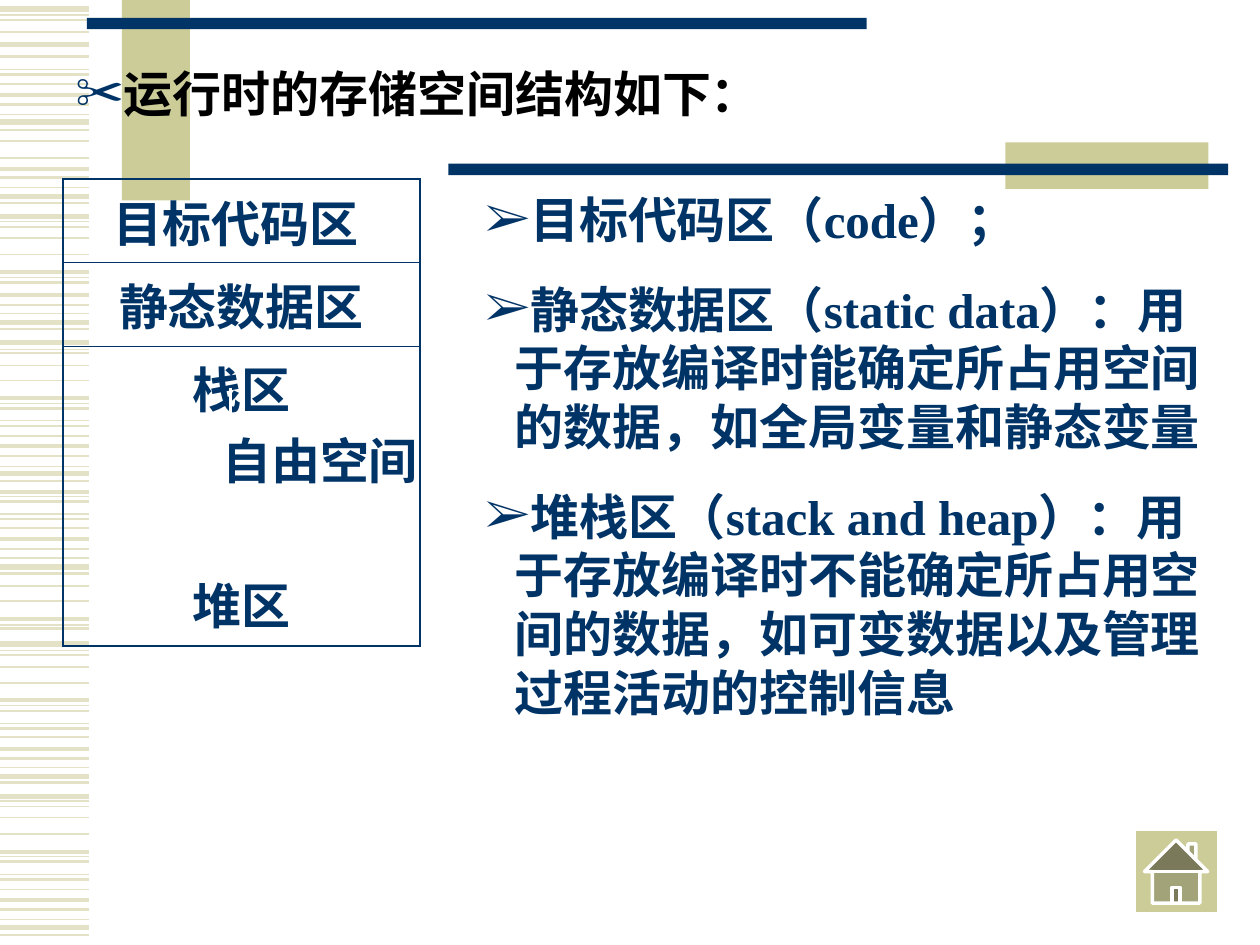
from typing import NamedTuple, Optional

from lxml import etree
from pptx import Presentation
from pptx import util as u
from pptx.dml.color import RGBColor
from pptx.enum import shapes, text
from pptx.oxml import ns

NAVY, KHAKI, STRIPE, WHITE, BLACK = "003366", "CCCC99", "E3E2C7", "FFFFFF", "000000"
CJK, SERIF = "Noto Sans CJK SC", "Times New Roman"
SIZE = 28
LINE_PITCH = 33.6


class Box(NamedTuple):
    left: float
    top: float
    width: float
    height: float

    def lengths(self) -> list:
        return [u.Cm(v) for v in self]


class Bar(NamedTuple):
    box: Box
    color: str


class Row(NamedTuple):
    height: float
    lines: list


# Heights of the side stripes in cm, by line width in points
STRIPES = {
    0.75: [0.3, 1.4, 2.31, 3.78, 4.47, 5.59, 6.32, 7.04, 8.13, 8.48, 9.4, 10.01,
           10.36, 11.25, 12.6, 13.11, 14.22, 14.58, 15.47, 16.15, 17.27, 17.63, 18.54],
    1: [0.41, 0.64, 1.7, 2.84, 3.18, 4.57, 4.8, 5.13, 7.11, 7.37, 7.67, 8.79,
        10.64, 11.81, 12.12, 13.21, 13.44, 13.77, 14.86, 16.26, 16.48, 16.81, 17.93],
    1.5: [1.14, 1.5, 2.11, 2.62, 3.58, 4.09, 5.69, 6.15, 6.63, 8.23, 8.59, 9.19, 9.7,
          10.11, 10.46, 11.07, 11.56, 12.67, 14.33, 14.68, 15.29, 15.77, 17.37, 17.73,
          18.34, 18.85],
    2.25: [1.91, 3.4, 5.49, 5.94, 8.03, 8.99, 9.91, 10.87, 12.47, 14.12, 15.09,
           17.17, 18.14],
    3: [0.18, 0.89, 2.46, 3.96, 4.37, 6.5, 6.91, 9.55, 11.43, 12.98, 15.65, 16.05, 18.69],
}
BARS = [
    Bar(Box(2.46, 0, 1.37, 4.04), KHAKI),
    Bar(Box(1.75, 0.36, 15.72, 0.23), NAVY),
    Bar(Box(20.27, 2.87, 4.09, 0.94), KHAKI),
    Bar(Box(9.04, 3.3, 15.72, 0.23), NAVY),
]
MEMORY = [
    Row(1.68, ["目标代码区 "]),
    Row(1.68, ["静态数据区"]),
    Row(6.05, ["栈区", "堆区"]),
]
AREAS = [
    "目标代码区（code）；",
    "静态数据区（static data）：用于存放编译时能确定所占用空间的数据，如全局变量和静态变量",
    "堆栈区（stack and heap）：用于存放编译时不能确定所占用空间的数据，"
    "如可变数据以及管理过程活动的控制信息",
]


def rgb(color: str) -> RGBColor:
    return RGBColor.from_string(color)


def sub(parent, tag: str, **attrs):
    e = etree.SubElement(parent, ns.qn(tag))
    for name, value in attrs.items():
        e.set(name, str(value))
    return e


def add_bullet(p, char: str, indent: float) -> None:
    pPr = p._p.get_or_add_pPr()
    pPr.set("marL", str(u.Cm(indent)))
    pPr.set("indent", str(-u.Cm(indent)))
    sub(sub(pPr, "a:buClr"), "a:srgbClr", val=NAVY)
    sub(pPr, "a:buFont", typeface=SERIF)
    sub(pPr, "a:buChar", char=char)


def write(tf, lines: list, *, color: str = NAVY, font: str = CJK, gap: float = 0,
          pitch: Optional[float] = None, align=text.PP_ALIGN.LEFT,
          bullet: Optional[str] = None, indent: float = 0) -> None:
    """Fill a text frame, one paragraph a line, with gap points between them."""
    tf.word_wrap = True
    for i, line in enumerate(lines):
        p = tf.paragraphs[0] if i == 0 else tf.add_paragraph()
        p.alignment = align
        if pitch:
            p.line_spacing = u.Pt(pitch)
        p.space_before = u.Pt(gap if i else 0)
        if bullet:
            add_bullet(p, bullet, indent)
        r = p.add_run()
        r.text = line
        r.font.size, r.font.bold, r.font.name = u.Pt(SIZE), True, font
        r.font.color.rgb = rgb(color)
        sub(r._r.get_or_add_rPr(), "a:ea", typeface=CJK)


def add_text(s, box: Box, lines: list, **style) -> None:
    write(s.shapes.add_textbox(*box.lengths()).text_frame, lines, pitch=LINE_PITCH, **style)


def add_line(s, x1: float, y1: float, x2: float, y2: float, color: str,
             width: float, arrow: bool = False) -> None:
    ends = [u.Cm(v) for v in (x1, y1, x2, y2)]
    c = s.shapes.add_connector(shapes.MSO_CONNECTOR.STRAIGHT, *ends)
    c.line.color.rgb, c.line.width = rgb(color), u.Pt(width)
    if arrow:
        sub(c.line._get_or_add_ln(), "a:tailEnd", type="triangle")
    sub(c._element.spPr, "a:effectLst")


def add_shape(s, kind, box: Box, fill: str, line: Optional[str] = None) -> None:
    sp = s.shapes.add_shape(kind, *box.lengths())
    sp.shadow.inherit = False
    sp.fill.solid()
    sp.fill.fore_color.rgb = rgb(fill)
    if line:
        sp.line.color.rgb, sp.line.width = rgb(line), u.Pt(2)
    else:
        sp.line.fill.background()


def set_borders(cell, **widths: float) -> None:
    """Draw the cell's sides; must come before its fill is set."""
    tcPr = cell._tc.get_or_add_tcPr()
    for side, width in widths.items():
        ln = sub(tcPr, f"a:ln{side}", w=u.Pt(width))
        sub(sub(ln, "a:solidFill"), "a:srgbClr", val=NAVY)


def add_memory_table(s, box: Box, rows: list) -> None:
    table = s.shapes.add_table(len(rows), 1, *box.lengths()).table
    table.first_row = table.horz_banding = False
    outer, inner = 1.08, 0.45
    for i, row in enumerate(rows):
        table.rows[i].height = u.Cm(row.height)
        cell = table.cell(i, 0)
        set_borders(cell, L=outer, R=outer, T=inner if i else outer,
                    B=outer if i == len(rows) - 1 else inner)
        cell.fill.background()
        write(cell.text_frame, row.lines, gap=83, align=text.PP_ALIGN.CENTER)


def main() -> None:
    prs = Presentation()
    prs.slide_width, prs.slide_height = u.Cm(25.4), u.Cm(19.05)
    s = prs.slides.add_slide(prs.slide_layouts[6])

    for width, heights in STRIPES.items():
        for y in heights:
            add_line(s, 0, y, 1.8, y, STRIPE, width)
    for bar in BARS:
        add_shape(s, shapes.MSO_SHAPE.RECTANGLE, bar.box, bar.color)

    add_memory_table(s, Box(1.27, 3.61, 7.19, sum(r.height for r in MEMORY)), MEMORY)
    add_line(s, 4.65, 7.82, 4.65, 8.89, WHITE, 2, arrow=True)
    add_line(s, 4.65, 10.8, 4.65, 9.96, WHITE, 2, arrow=True)
    add_text(s, Box(9.53, 3.7, 15.44, 10.97), AREAS, font=SERIF, gap=17.5,
             bullet="➢", indent=0.6)
    add_shape(s, shapes.MSO_SHAPE.ACTION_BUTTON_HOME, Box(22.86, 16.72, 1.7, 1.7),
              KHAKI, WHITE)
    add_text(s, Box(1.27, 1.16, 21.59, 1.47), ["运行时的存储空间结构如下："],
             color=BLACK, bullet="✂", indent=0.95)
    add_text(s, Box(4.23, 8.55, 4.66, 1.45), ["自由空间"])

    prs.save("out.pptx")


if __name__ == "__main__":
    main()
